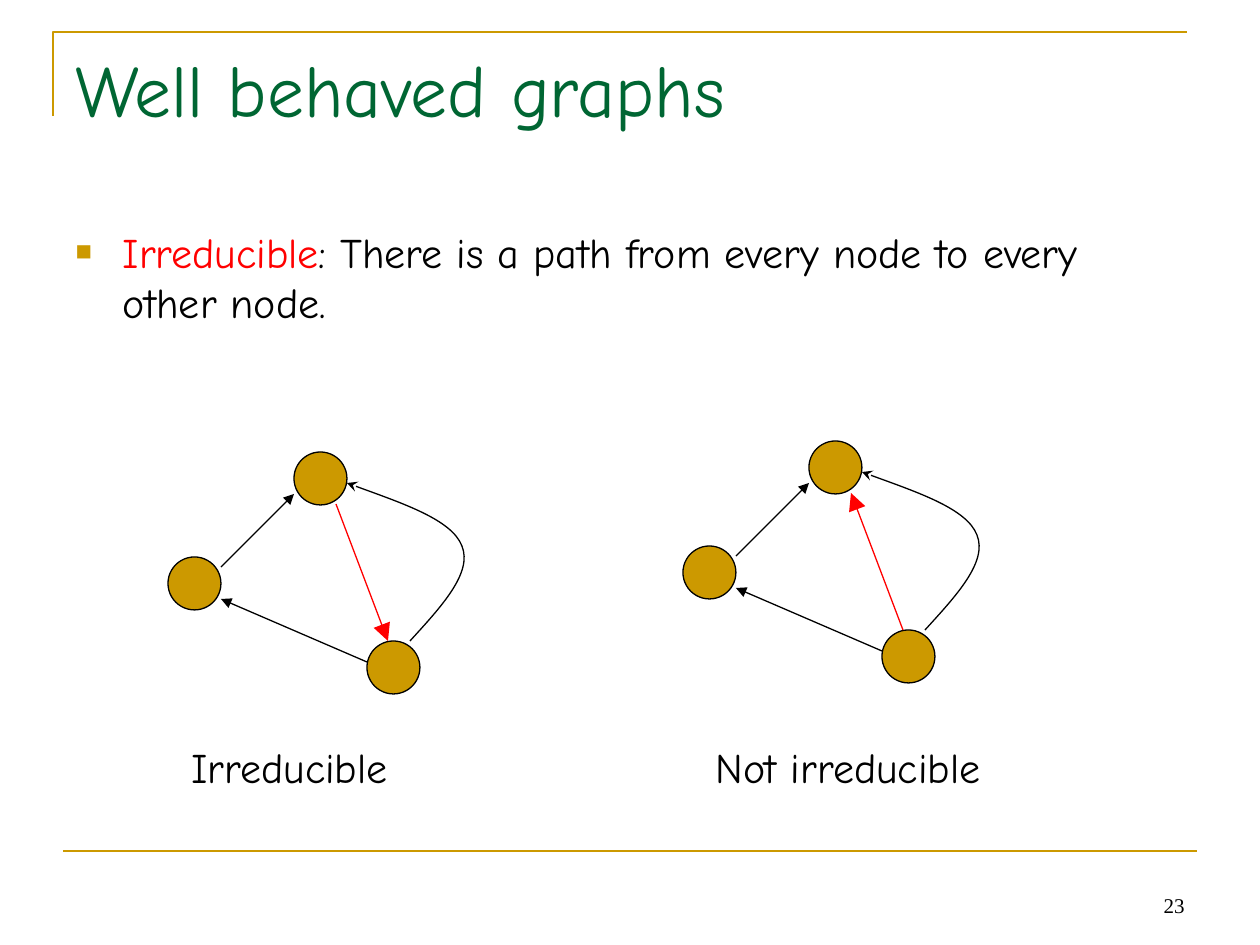
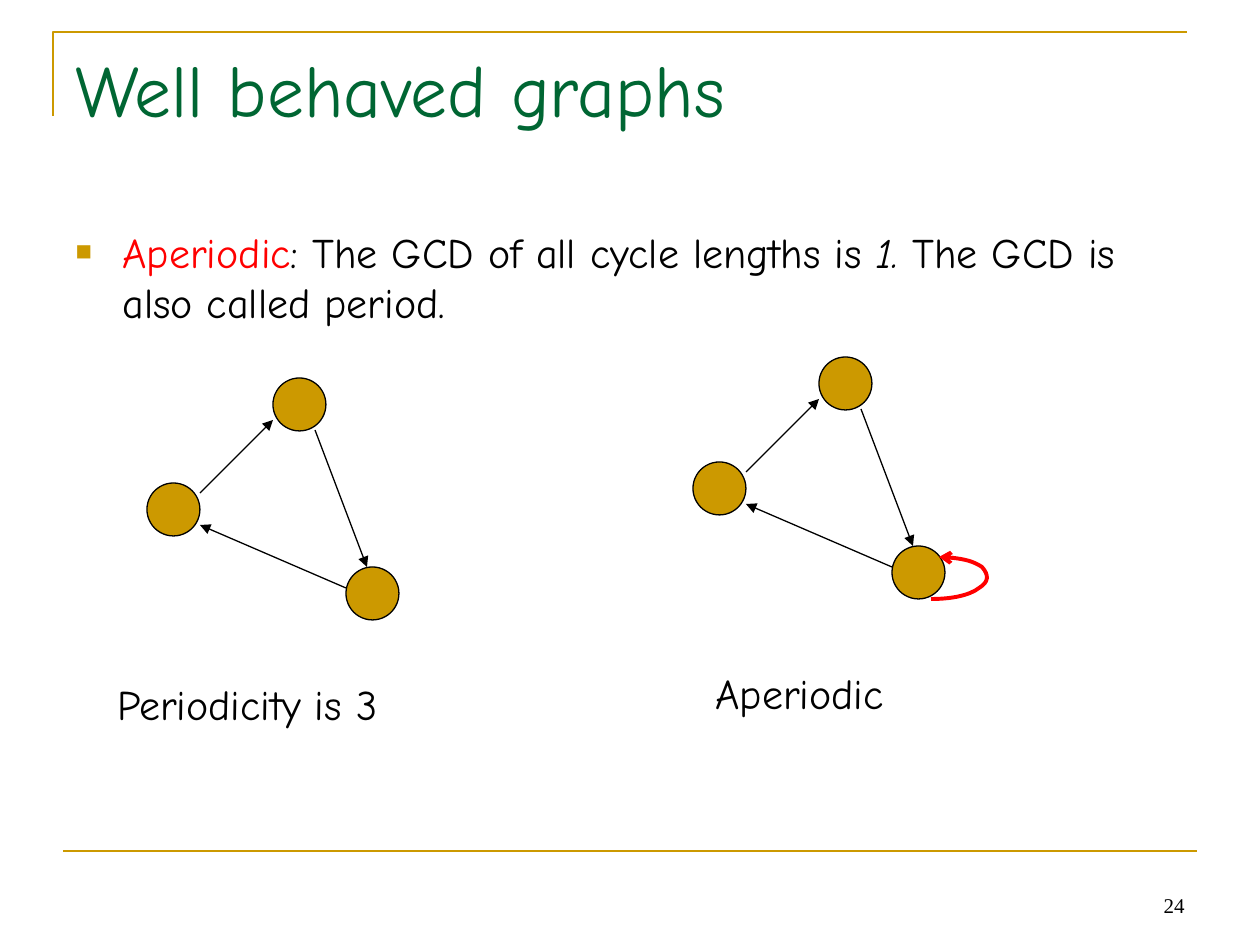
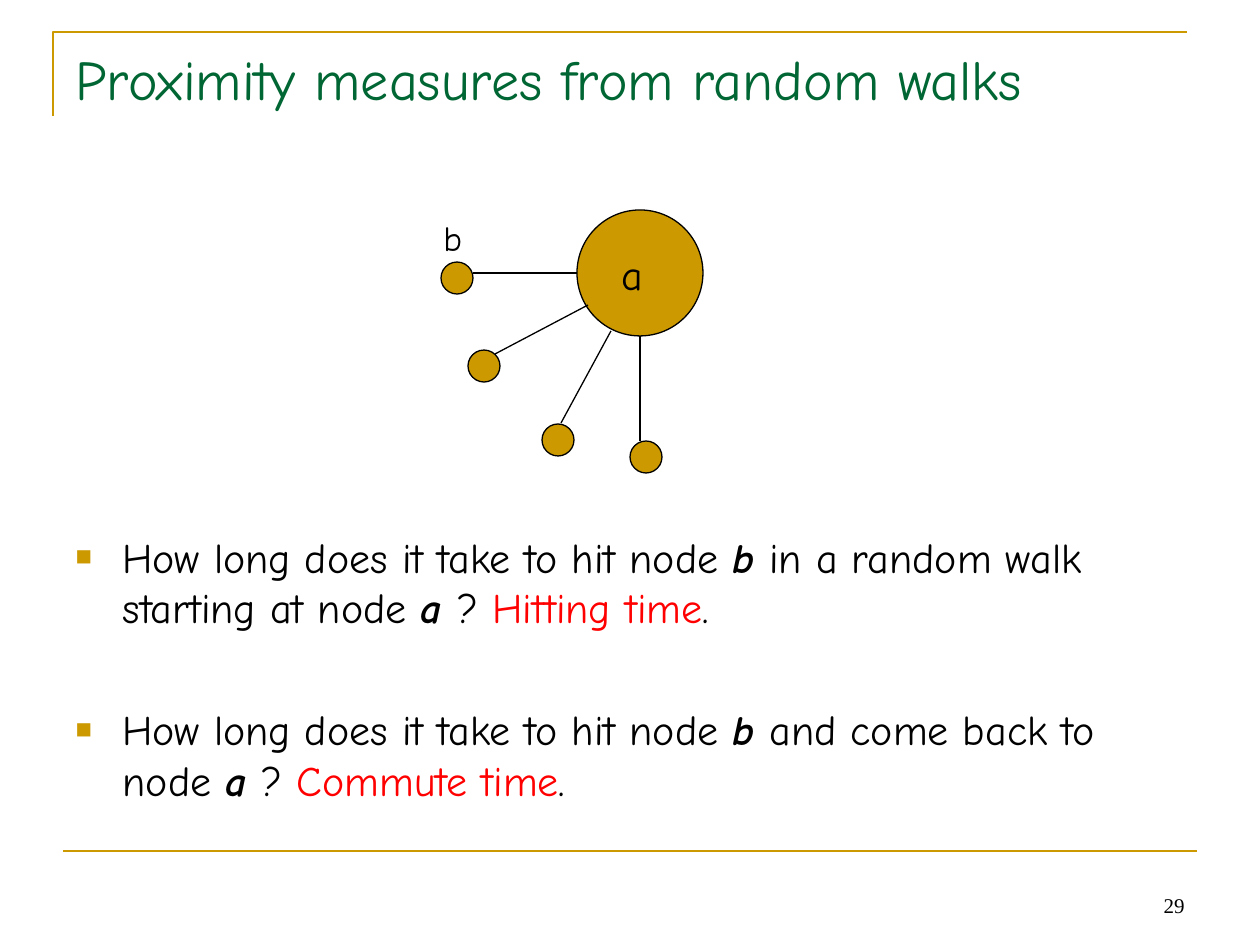
"""Build three slides on random walks over graphs."""
import lxml.etree
import pptx
import pptx.dml.color
import pptx.enum.shapes
import pptx.enum.text
import pptx.oxml.ns
import pptx.util

SCALE = 914400 / 126
HUES = {"gold": "CC9900", "green": "006633", "red": "FF0000", "black": "000000"}
FONT = "Comic Neue"
NODE = 53
NODES = [(0, 0), (126, -105), (199, 84)]
RISE = (53, 10, 126, -63)
FALL = (168, -53, 220, 84)
BACK = (199, 105, 53, 42)
BEND = [(242, 84), (273, 50), (305, 16), (294, -11),
        (284, -37), (231, -55), (179, -74)]
LOOP = [(939, 557), (956, 557), (973, 561), (982, 567), (989, 575),
        (989, 582), (979, 588), (970, 595), (953, 599), (931, 599)]
SPOKES = [((441, 262), (473, 273, 577, 273)),
          ((468, 350), (495, 354, 588, 305)),
          ((542, 424), (561, 423, 611, 331)),
          ((630, 441), (640, 441, 640, 336))]


def px(num):
    """Turn pixels into EMU."""
    return pptx.util.Emu(round(num * SCALE))


def hue(name):
    """Look up a colour by name."""
    return pptx.dml.color.RGBColor.from_string(HUES[name])


def add(root, tag, **attrs):
    """Append a drawing element with attributes."""
    return lxml.etree.SubElement(root, pptx.oxml.ns.qn(tag), attrs)


def stroke(shape, tint="black", width=0.75, head=None, tail=None, size="med"):
    """Set the line of a shape, with optional arrowheads."""
    shape.line.color.rgb = hue(tint)
    shape.line.width = pptx.util.Pt(width)
    line = shape.element.spPr.find(pptx.oxml.ns.qn("a:ln"))
    for tag, kind in (("a:headEnd", head), ("a:tailEnd", tail)):
        if kind:
            add(line, tag, type=kind, w=size, len=size)


def edge(shapes, ends, **style):
    """Draw a straight line between two points."""
    kind = pptx.enum.shapes.MSO_CONNECTOR.STRAIGHT
    line = shapes.add_connector(kind, *map(px, ends))
    stroke(line, **style)
    add(line.element.spPr, "a:effectLst")
    return line


def trace(shapes, points, **style):
    """Draw an open outline through points."""
    pen = shapes.build_freeform(*points[0], scale=SCALE)
    pen.add_line_segments(points[1:], close=False)
    shape = pen.convert_to_shape()
    shape.shadow.inherit = False
    shape.fill.background()
    stroke(shape, **style)
    return shape


def curve(shapes, points, **style):
    """Draw cubic curves, three points for each after the start."""
    shape = trace(shapes, points, **style)
    route = shape.element.xpath(".//a:path")[0]
    for i, step in enumerate(route.findall(pptx.oxml.ns.qn("a:lnTo"))):
        if i % 3 == 0:
            bend = add(route, "a:cubicBezTo")
        bend.append(step[0])
        route.remove(step)


def disc(shapes, x, y, size=NODE):
    """Draw a round graph node."""
    kind = pptx.enum.shapes.MSO_SHAPE.OVAL
    shape = shapes.add_shape(kind, px(x), px(y), px(size), px(size))
    shape.shadow.inherit = False
    shape.fill.solid()
    shape.fill.fore_color.rgb = hue("gold")
    stroke(shape)


def write(par, text, size=24, tint="black", font=FONT, bold=False, slant=False):
    """Add one run to a paragraph."""
    run = par.add_run()
    run.text = text
    run.font.size = pptx.util.Pt(size)
    run.font.name = font
    run.font.bold = bold
    run.font.italic = slant
    run.font.color.rgb = hue(tint)


def setup(frame, anchor="TOP"):
    """Set wrapping, insets and anchor of a text frame."""
    frame.word_wrap = True
    frame.auto_size = pptx.enum.text.MSO_AUTO_SIZE.NONE
    frame.vertical_anchor = getattr(pptx.enum.text.MSO_ANCHOR, anchor)
    frame.margin_left = frame.margin_right = pptx.util.Inches(0.1)
    frame.margin_top = frame.margin_bottom = pptx.util.Inches(0.05)
    return frame


def place(shape, x, y, wide, high):
    """Move and size a shape."""
    shape.left, shape.top = px(x), px(y)
    shape.width, shape.height = px(wide), px(high)


def label(shapes, text, x, y, wide, high=63, anchor="TOP", align="LEFT", **style):
    """Add a text box of one run."""
    box = shapes.add_textbox(px(x), px(y), px(wide), px(high))
    par = setup(box.text_frame, anchor).paragraphs[0]
    par.alignment = getattr(pptx.enum.text.PP_ALIGN, align)
    write(par, text, **style)


def bullet(par):
    """Give a paragraph a hanging square bullet."""
    props = par._p.get_or_add_pPr()
    props.set("marL", str(px(47)))
    props.set("indent", str(-px(47)))
    add(add(props, "a:buClr"), "a:srgbClr", val=HUES["gold"])
    add(props, "a:buSzPct", val="65000")
    add(props, "a:buChar", char="■")


def page(deck, title, size, items, top, num):
    """Add a slide with title, bullet list and page number."""
    slide = deck.slides.add_slide(deck.slide_layouts[1])
    place(slide.shapes.title, 63, 38, 1134, 157)
    head = setup(slide.shapes.title.text_frame).paragraphs[0]
    head.alignment = pptx.enum.text.PP_ALIGN.LEFT
    write(head, title, size, "green")
    body = slide.placeholders[1]
    place(body, 63, top, 1134, 844 - top)
    frame = setup(body.text_frame)
    for i, runs in enumerate(items):
        par = frame.add_paragraph() if i else frame.paragraphs[0]
        par.space_before = pptx.util.Pt(41 if i else 0)
        bullet(par)
        for text, style in runs:
            write(par, text, **style)
    label(slide.shapes, num, 903, 861, 294, anchor="BOTTOM", align="RIGHT",
          size=12, font="Times New Roman")
    return slide


def border(slide):
    """Put the gold rules on the layout that all slides share."""
    rules = [trace(slide.shapes, [(53, 116), (53, 32), (1187, 32)],
                   tint="gold", width=1.5),
             edge(slide.shapes, (63, 851, 1197, 851), tint="gold", width=1.5)]
    for i, rule in enumerate(rules):
        rule.element.xpath("./*/p:cNvPr")[0].set("id", str(50 + i))
        slide.slide_layout.shapes.element.append(rule.element)


def graph(shapes, x, y, bend=False, **style):
    """Draw a three-node graph whose left node is at x, y."""
    for dx, dy in NODES:
        disc(shapes, x + dx, y + dy)
    for ends, look in ((RISE, {}), (FALL, style), (BACK, {})):
        a, b, c, d = ends
        edge(shapes, (x + a, y + b, x + c, y + d), **(look or {"tail": "triangle"}))
    if bend:
        curve(shapes, [(x + dx, y + dy) for dx, dy in BEND], tail="stealth")


def star(shapes):
    """Draw the hub a with its four small neighbours."""
    disc(shapes, 577, 210, 126)
    for spot, ends in SPOKES:
        disc(shapes, *spot, 32)
        edge(shapes, ends)
    label(shapes, "a", 609, 242, 63)
    label(shapes, "b", 431, 210, 63, 55, size=20)


def main():
    """Build and save the deck."""
    deck = pptx.Presentation()
    deck.slide_width, deck.slide_height = px(1260), px(945)
    red, slant = {"tint": "red"}, {"slant": True}
    strong = {"bold": True, "slant": True}

    slide = page(deck, "Well behaved graphs", 42, [[
        ("Irreducible", red),
        (": There is a path from every node to every other node.", {}),
    ]], 220, "23")
    border(slide)
    graph(slide.shapes, 168, 557, True, tint="red", tail="triangle", size="lg")
    graph(slide.shapes, 683, 546, True, tint="red", head="triangle", size="lg")
    label(slide.shapes, "Irreducible", 179, 735, 305)
    label(slide.shapes, "Not irreducible", 703, 735, 399)

    slide = page(deck, "Well behaved graphs", 42, [[
        ("Aperiodic", red), (": The GCD of all cycle lengths is ", {}),
        ("1. ", slant), ("The GCD is also called period.", {}),
    ]], 220, "24")
    graph(slide.shapes, 147, 483)
    graph(slide.shapes, 693, 462)
    curve(slide.shapes, LOOP, tint="red", width=2.25, head="arrow")
    label(slide.shapes, "Periodicity is 3", 105, 672, 399)
    label(slide.shapes, "Aperiodic", 703, 661, 346)

    ask = ("How long does it take to hit node ", {})
    slide = page(deck, "Proximity measures from random walks", 32, [
        [ask, ("b ", strong), (middle, {}), ("a ", strong), ("? ", {}),
         (term, red), (".", {})]
        for middle, term in (
            ("in a random walk starting at node ", "Hitting time"),
            ("and come back to node ", "Commute time"))
    ], 525, "29")
    star(slide.shapes.add_group_shape().shapes)
    deck.save("out.pptx")


if __name__ == "__main__":
    main()
